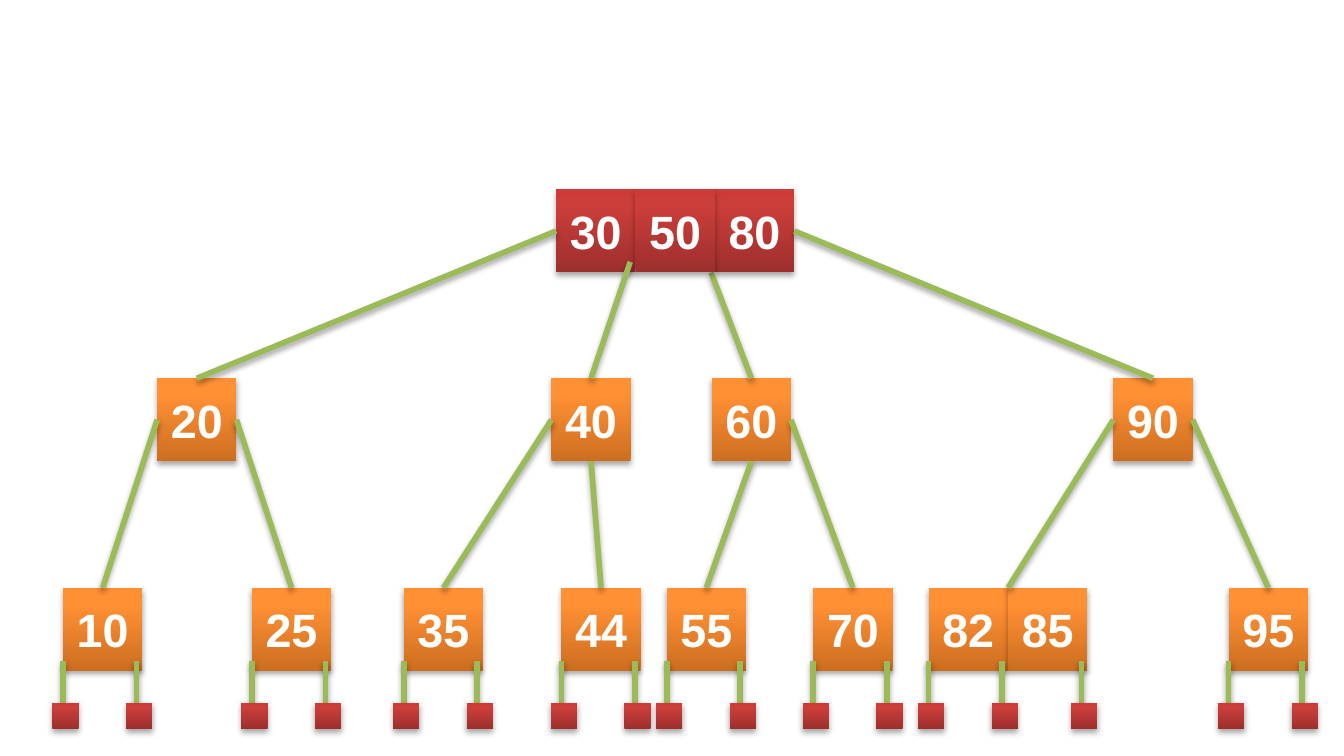
from copy import deepcopy

from lxml import etree
from pptx import Presentation
from pptx import util as u
from pptx.dml.color import RGBColor
from pptx.enum import shapes, text
from pptx.oxml.ns import qn

COLORS = {
    "red_dark": "9C2F2D", "red": "CB3E3A", "red_light": "CE3B37",
    "orange_dark": "CC6E20", "orange": "FF9034", "orange_light": "FF9136",
    "edge": "9BBB59", "text": "FFFFFF", "shadow": "000000",
}

BOX_WIDTH, BOX_HEIGHT = 1.5, 1.57
ROOT_TOP, MIDDLE_TOP, LEAF_TOP = 3.58, 7.15, 11.11
STUB_TOP, STUB_BOTTOM, STUB_GAP = 12.5, 13.28, 1.39
SQUARE_SIZE, SQUARE_OFFSET = 0.5, 0.2
TOP, LEFT, BOTTOM, RIGHT = range(4)

ROOT_LEFTS = {"30": 10.51, "80": 13.51}
MIDDLE_LEFTS = {"20": 2.97, "40": 10.42, "60": 13.45, "90": 21.04}
LEAF_LEFTS = {
    "10": 1.19, "25": 4.76, "35": 7.63, "44": 10.61, "55": 12.6,
    "70": 15.37, "82": 17.55, "85": 19.05, "95": 23.22,
}
JOINED_EDGES = [
    ("30", LEFT, "20"), ("80", RIGHT, "90"),
    ("20", LEFT, "10"), ("20", RIGHT, "25"),
    ("40", LEFT, "35"), ("40", BOTTOM, "44"),
    ("60", BOTTOM, "55"), ("60", RIGHT, "70"),
    ("90", RIGHT, "95"),
]


def rgb(name):
    return RGBColor.from_string(COLORS[name])


def add_shadow(properties):
    effects = etree.SubElement(properties, qn("a:effectLst"))
    shadow = etree.SubElement(
        effects, qn("a:outerShdw"),
        blurRad="40000", dist="23000", dir="5400000", rotWithShape="0")
    color = etree.SubElement(shadow, qn("a:srgbClr"), val=COLORS["shadow"])
    etree.SubElement(color, qn("a:alpha"), val="35000")


def add_box(parent, left, top, width, height, hue):
    box = parent.add_shape(
        shapes.MSO_SHAPE.RECTANGLE,
        u.Cm(left), u.Cm(top), u.Cm(width), u.Cm(height))
    box.fill.gradient()
    box.fill.gradient_angle = 90
    stops = box._element.spPr.find(".//" + qn("a:gsLst"))
    stops.insert(1, deepcopy(stops[0]))
    shades = [(0, f"{hue}_dark"), (0.8, hue), (1, f"{hue}_light")]
    for stop, (position, shade) in zip(box.fill.gradient_stops, shades):
        stop.position = position
        stop.color.rgb = rgb(shade)
    box.line.fill.background()
    add_shadow(box._element.spPr)
    return box


def add_node(parent, key, left, top, hue):
    box = add_box(parent, left, top, BOX_WIDTH, BOX_HEIGHT, hue)
    frame = box.text_frame
    frame.margin_left = frame.margin_right = u.Cm(0.25)
    frame.margin_top = frame.margin_bottom = u.Cm(0.25)
    frame.word_wrap = False
    frame.vertical_anchor = text.MSO_ANCHOR.MIDDLE
    frame.text = key
    para = frame.paragraphs[0]
    para.alignment = text.PP_ALIGN.CENTER
    span = para.runs[0]
    span.font.name = "Arial"
    span.font.size = u.Pt(25)
    span.font.bold = True
    span.font.color.rgb = rgb("text")
    return box


def add_edge(parent, start=(0, 0), end=(0, 0)):
    edge = parent.add_connector(
        shapes.MSO_CONNECTOR.STRAIGHT,
        *(u.Cm(length) for length in (*start, *end)))
    edge.line.color.rgb = rgb("edge")
    edge.line.width = u.Pt(3)
    add_shadow(edge._element.spPr)
    return edge


def add_stub(page, x):
    group = page.shapes.add_group_shape()
    add_edge(group.shapes, (x, STUB_TOP), (x, STUB_BOTTOM))
    add_box(group.shapes, x - SQUARE_OFFSET, STUB_BOTTOM,
            SQUARE_SIZE, SQUARE_SIZE, "red")


def main():
    deck = Presentation()
    deck.slide_width, deck.slide_height = u.Cm(25.4), u.Cm(14.29)
    page = deck.slides.add_slide(deck.slide_layouts[6])

    nodes = {}
    levels = [
        (ROOT_LEFTS, ROOT_TOP, "red"),
        (MIDDLE_LEFTS, MIDDLE_TOP, "orange"),
        (LEAF_LEFTS, LEAF_TOP, "orange"),
    ]
    for lefts, top, hue in levels:
        for key, left in lefts.items():
            nodes[key] = add_node(page.shapes, key, left, top, hue)

    for key, left in LEAF_LEFTS.items():
        if key != "85":
            add_stub(page, left)
        add_stub(page, left + STUB_GAP)

    for parent, side, child in JOINED_EDGES:
        edge = add_edge(page.shapes)
        edge.begin_connect(nodes[parent], side)
        edge.end_connect(nodes[child], TOP)

    for start, child in [((11.91, 4.95), "40"), ((13.44, 5.15), "60")]:
        edge = add_edge(page.shapes, start)
        edge.end_connect(nodes[child], TOP)

    shared_edge = add_edge(page.shapes, end=(LEAF_LEFTS["85"], LEAF_TOP))
    shared_edge.begin_connect(nodes["90"], LEFT)

    add_node(page.shapes, "50", ROOT_LEFTS["30"] + BOX_WIDTH, ROOT_TOP, "red")
    deck.save("out.pptx")


if __name__ == "__main__":
    main()
